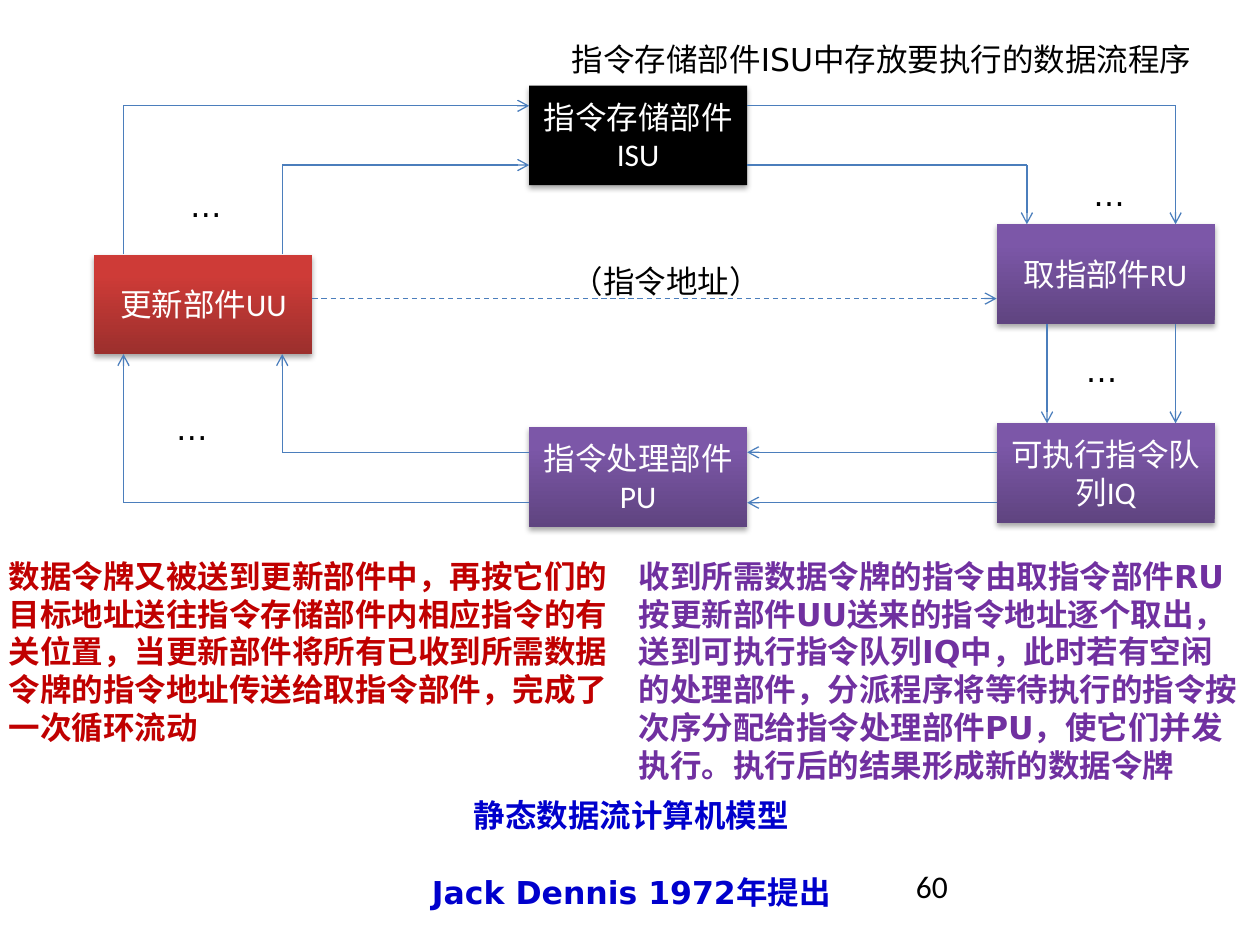
from itertools import pairwise

from lxml.etree import SubElement
from pptx import Presentation
from pptx.dml.color import RGBColor
from pptx.enum.dml import MSO_LINE
from pptx.enum.shapes import MSO_CONNECTOR, MSO_SHAPE
from pptx.enum.text import MSO_ANCHOR, MSO_AUTO_SIZE, PP_ALIGN
from pptx.oxml.ns import qn
from pptx.util import Inches, Pt

HEX = {
    "black": "000000", "white": "FFFFFF", "line": "4B7EBC",
    "red": "C00000", "purple": "7030A0", "blue": "0000CC",
}
# Bottom and top colour of each shaded box
SHADES = {"red": ("9C2F2D", "CE3B37"), "purple": ("5F4480", "7C57A8")}
WIDE, HIGH = 1.73, 0.79


def color(name):
    return RGBColor.from_string(HEX.get(name, name))


def style(frame, tint, font="DejaVu Sans", bold=False, align=None):
    for para in frame.paragraphs:
        para.alignment = align
        for run in para.runs:
            run.font.name = font
            run.font.size = Pt(18)
            run.font.bold = bold
            run.font.color.rgb = color(tint)


def label(slide, box, text, tint="black", wrap=True, **kind):
    frame = slide.shapes.add_textbox(*map(Inches, box)).text_frame
    frame.word_wrap = wrap
    frame.auto_size = MSO_AUTO_SIZE.SHAPE_TO_FIT_TEXT
    frame.text = text
    style(frame, tint, **kind)
    return frame


def shade(shape):
    """Give the shape a soft shadow below it."""
    shape.shadow.inherit = False
    effects = shape._element.spPr.find(qn("a:effectLst"))
    outer = SubElement(effects, qn("a:outerShdw"), blurRad="40000",
                       dist="23000", dir="5400000", rotWithShape="0")
    black = SubElement(outer, qn("a:srgbClr"), val=HEX["black"])
    SubElement(black, qn("a:alpha"), val="35000")


def unit(slide, left, top, text, tint):
    shape = slide.shapes.add_shape(
        MSO_SHAPE.RECTANGLE, *map(Inches, (left, top, WIDE, HIGH)))
    if tint in SHADES:
        shape.fill.gradient()
        shape.fill.gradient_angle = 90
        for stop, tone, place in zip(shape.fill.gradient_stops, SHADES[tint], (0, 0.8)):
            stop.color.rgb = color(tone)
            stop.position = place
    else:
        shape.fill.solid()
        shape.fill.fore_color.rgb = color(tint)
    shape.line.fill.background()
    shade(shape)
    frame = shape.text_frame
    frame.word_wrap = True
    frame.vertical_anchor = MSO_ANCHOR.MIDDLE
    frame.text = text
    style(frame, "white", "Calibri", align=PP_ALIGN.CENTER)


def route(slide, points, dash=False):
    """Draw straight lines through the points, with an arrow at the last."""
    for start, end in pairwise(points):
        line = slide.shapes.add_connector(
            MSO_CONNECTOR.STRAIGHT, *map(Inches, start + end))
        line.line.color.rgb = color("line")
        line.line.width = Pt(0.75)
        if dash:
            line.line.dash_style = MSO_LINE.DASH
        SubElement(line._element.spPr, qn("a:effectLst"))
    SubElement(line.line._get_or_add_ln(), qn("a:tailEnd"), type="arrow")


def diagram(slide, left, top):
    """Draw the ring of five units and the paths between them."""
    mid, right = left + 3.45, left + 7.16
    update, fetch = top + 1.34, top + 1.1
    queue, process = top + 2.68, top + 2.71
    for x, y, text, tint in (
        (left, update, "更新部件UU", "red"),
        (mid, process, "指令处理部件PU", "purple"),
        (mid, top, "指令存储部件ISU", "black"),
        (right, fetch, "取指部件RU", "purple"),
        (right, queue, "可执行指令队列IQ", "purple"),
    ):
        unit(slide, x, y, text, tint)

    outer, inner = left + 0.23, left + 1.49
    far, near = right + 1.42, right + 0.24
    for x, high, low, turn in (
        (outer, top + 0.16, top + 3.31, far),
        (inner, top + 0.63, top + 2.91, near),
    ):
        route(slide, [(x, update), (x, high), (mid, high)])
        route(slide, [(mid + WIDE, high), (turn, high), (turn, fetch)])
        route(slide, [(right, low), (mid + WIDE, low)])
        route(slide, [(mid, low), (x, low), (x, update + HIGH)])
    for x in (right + 0.4, far):
        route(slide, [(x, fetch + HIGH), (x, queue)])
    level = top + 1.69
    route(slide, [(left + WIDE, level), (right, level)], dash=True)

    label(slide, (left + 3.69, top + 1.35, 1.72, 0.4), "（指令地址）", wrap=False)
    for x, y in ((0.55, 2.52), (0.66, 0.75), (7.77, 2.06), (7.83, 0.66)):
        label(slide, (left + x, top + y, 0.41, 0.4), "…", wrap=False)
    label(slide, (left + 3.69, top - 0.41, 5.34, 0.4),
          "指令存储部件ISU中存放要执行的数据流程序")


def notes(slide, left, top):
    """Place the two explanations side by side."""
    label(slide, (left + 5, top, 5, 1.92),
          "收到所需数据令牌的指令由取指令部件RU按更新部件UU送来的指令地址逐个取出，"
          "送到可执行指令队列IQ中，此时若有空闲的处理部件，分派程序将等待执行的指令"
          "按次序分配给指令处理部件PU，使它们并发执行。执行后的结果形成新的数据令牌",
          "purple", bold=True)
    label(slide, (left, top, 5, 1.62),
          "数据令牌又被送到更新部件中，再按它们的目标地址送往指令存储部件内相应指令的"
          "有关位置，当更新部件将所有已收到所需数据令牌的指令地址传送给取指令部件，"
          "完成了一次循环流动", "red", bold=True)


def caption(slide, left, top):
    frame = label(slide, (left, top, 7.78, 1.01),
                  "静态数据流计算机模型\nJack Dennis 1972年提出",
                  "blue", bold=True, align=PP_ALIGN.CENTER)
    frame.paragraphs[1].space_before = Pt(22)
    label(slide, (left + 6.05, top + 0.56, 2.08, 0.5), "60", font="Calibri")


def main():
    deck = Presentation()
    deck.slide_width, deck.slide_height = Inches(10), Inches(7.5)
    slide = deck.slides.add_slide(deck.slide_layouts[6])
    caption(slide, 1.12, 6.27)
    diagram(slide, 0.75, 0.68)
    notes(slide, -0.03, 4.37)
    deck.save("out.pptx")


if __name__ == "__main__":
    main()
